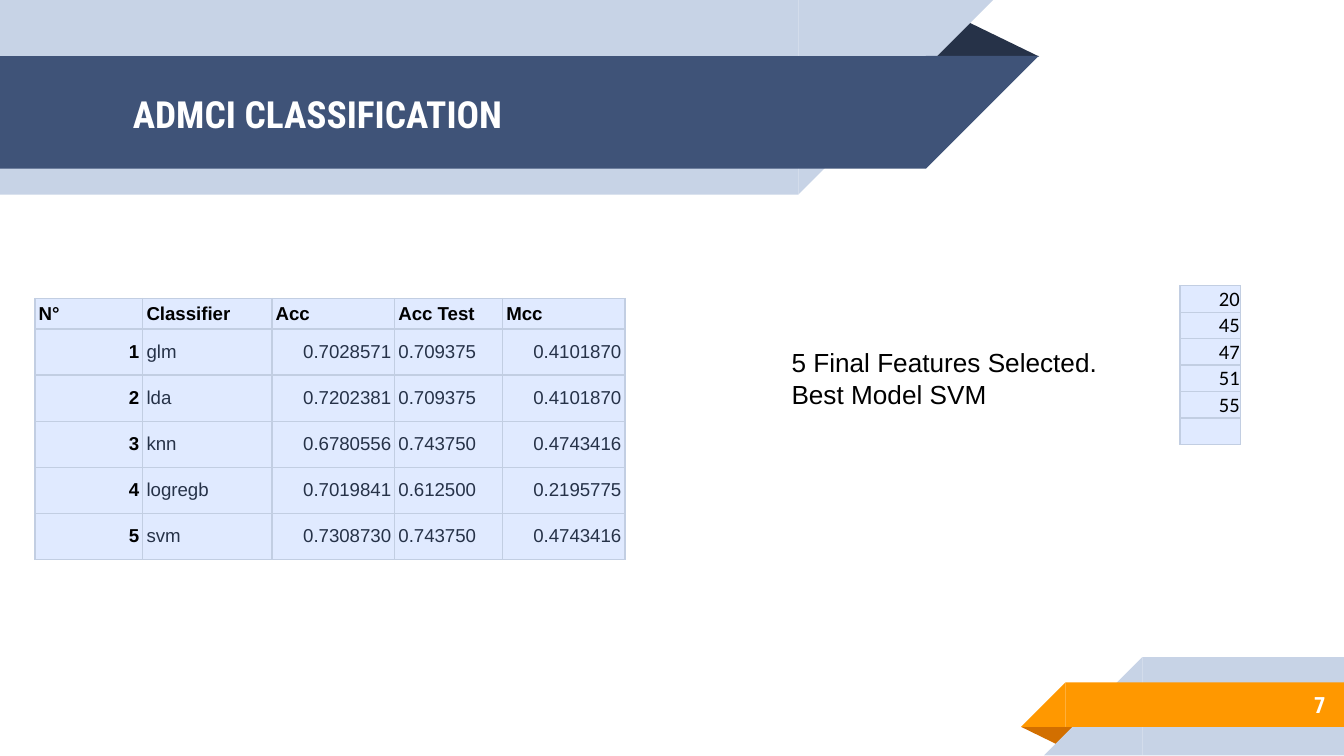
from lxml import etree
from pptx import Presentation
from pptx.dml.color import RGBColor
from pptx.enum.shapes import MSO_SHAPE
from pptx.enum.text import MSO_ANCHOR, MSO_AUTO_SIZE, PP_ALIGN
from pptx.oxml.ns import qn
from pptx.util import Cm, Pt

RECTANGLE = MSO_SHAPE.RECTANGLE
RIGHT_TRIANGLE = MSO_SHAPE.RIGHT_TRIANGLE
TRIANGLE = MSO_SHAPE.ISOSCELES_TRIANGLE
MIDDLE, BOTTOM = MSO_ANCHOR.MIDDLE, MSO_ANCHOR.BOTTOM
LEFT, RIGHT = PP_ALIGN.LEFT, PP_ALIGN.RIGHT
NO_AUTO_SIZE = MSO_AUTO_SIZE.NONE

NAVY, DARK, PALE = "3F5378", "263248", "C7D3E6"
ORANGE, RUST = "FF9800", "D26F00"
WHITE, BLACK = "FFFFFF", "000000"
CELL_FILL, CELL_BORDER = "E0EAFF", "C2CEE2"
HEADING_FONT, BODY_FONT, NUMBER_FONT = "Roboto Condensed", "Arial", "Calibri"

RESULTS = [
    ["N°", "Classifier", "Acc", "Acc Test", "Mcc"],
    ["1", "glm", "0.7028571", "0.709375", "0.4101870"],
    ["2", "lda", "0.7202381", "0.709375", "0.4101870"],
    ["3", "knn", "0.6780556", "0.743750", "0.4743416"],
    ["4", "logregb", "0.7019841", "0.612500", "0.2195775"],
    ["5", "svm", "0.7308730", "0.743750", "0.4743416"],
]
RIGHT_ALIGNED_COLUMNS = (0, 2, 4)
FEATURES = [["20"], ["45"], ["47"], ["51"], ["55"], [""]]


def color(hex_string):
    return RGBColor.from_string(hex_string)


def write_text(frame, text, size=14, font=BODY_FONT, fill=BLACK, bold=False,
               align=LEFT, anchor=None):
    """Write one paragraph for each line of the text."""
    frame.word_wrap = True
    if anchor is not None:
        frame.vertical_anchor = anchor
    for index, line in enumerate(text.split("\n")):
        paragraph = frame.add_paragraph() if index else frame.paragraphs[0]
        paragraph.alignment = align
        if not line:
            end = etree.SubElement(paragraph._p, qn("a:endParaRPr"))
            end.set("sz", str(size * 100))
            etree.SubElement(end, qn("a:latin")).set("typeface", font)
            continue
        run = paragraph.add_run()
        run.text = line
        run.font.size = Pt(size)
        run.font.name = font
        run.font.bold = bold
        run.font.color.rgb = color(fill)


def set_margins(target, left, top, right, bottom):
    target.margin_left, target.margin_top = Cm(left), Cm(top)
    target.margin_right, target.margin_bottom = Cm(right), Cm(bottom)


def add_borders(cell):
    properties = cell._tc.get_or_add_tcPr()
    for index, side in enumerate(("lnL", "lnR", "lnT", "lnB")):
        line = etree.Element(qn(f"a:{side}"), w=str(Pt(0.75)))
        fill = etree.SubElement(line, qn("a:solidFill"))
        etree.SubElement(fill, qn("a:srgbClr")).set("val", CELL_BORDER)
        properties.insert(index, line)


class SlideBuilder:
    def __init__(self, presentation):
        self.slide = presentation.slides.add_slide(presentation.slide_layouts[5])
        self.shapes = self.slide.shapes

    def shape(self, kind, left, top, width, height, fill, flip=None):
        shape = self.shapes.add_shape(kind, Cm(left), Cm(top), Cm(width), Cm(height))
        shape.shadow.inherit = False
        shape.fill.solid()
        shape.fill.fore_color.rgb = color(fill)
        shape.line.fill.background()
        if flip:
            shape._element.spPr.get_or_add_xfrm().set(flip, "1")
        return shape

    def fold(self, left, top, width, height, fill, rotation=0):
        triangle = self.shape(TRIANGLE, left, top, width, height, fill)
        triangle.adjustments[0] = 0.324
        triangle.rotation = rotation

    def ribbon(self, left, top, width, height, fill, points_left=False):
        """Draw a band with a 45-degree tip on one end."""
        self.shape(RECTANGLE, left, top, width, height, fill)
        tip = left - height if points_left else left + width
        flip = "flipH" if points_left else "flipV"
        self.shape(RIGHT_TRIANGLE, tip, top, height, height, fill, flip)

    def title(self, text, left, top, width, height):
        title = self.shapes.title
        title.left, title.top = Cm(left), Cm(top)
        title.width, title.height = Cm(width), Cm(height)
        frame = title.text_frame
        frame.auto_size = NO_AUTO_SIZE
        set_margins(frame, 0.25, 0.25, 0.25, 0.25)
        write_text(frame, text, size=20, font=HEADING_FONT, fill=WHITE,
                   bold=True, anchor=MIDDLE)
        self.shapes._spTree.append(title._element)  # in front of the ribbons

    def text(self, text, left, top, width, height, **text_format):
        box = self.shapes.add_textbox(Cm(left), Cm(top), Cm(width), Cm(height))
        write_text(box.text_frame, text, **text_format)

    def table(self, rows, left, top, widths, heights, cell_format):
        """cell_format(row, column) returns the margins and the text format."""
        table = self.shapes.add_table(
            len(rows), len(widths), Cm(left), Cm(top),
            Cm(sum(widths)), Cm(sum(heights))).table
        table.first_row = table.horz_banding = False
        for column, width in zip(table.columns, widths):
            column.width = Cm(width)
        for row, height in zip(table.rows, heights):
            row.height = Cm(height)
        for row, values in enumerate(rows):
            for column, value in enumerate(values):
                cell = table.cell(row, column)
                margins, anchor, text_format = cell_format(row, column)
                set_margins(cell, *margins)
                cell.vertical_anchor = anchor
                cell.fill.solid()
                cell.fill.fore_color.rgb = color(CELL_FILL)
                add_borders(cell)
                write_text(cell.text_frame, value, **text_format)


def result_format(row, column):
    vertical = 0.05 if row else 0.07
    strong = row == 0 or column == 0
    align = RIGHT if row and column in RIGHT_ALIGNED_COLUMNS else LEFT
    text_format = dict(size=10, bold=strong, fill=BLACK if strong else DARK,
                       align=align)
    return (0.07, vertical, 0.07, vertical), MIDDLE, text_format


def feature_format(row, column):
    text_format = dict(size=11, font=NUMBER_FONT, align=RIGHT)
    return (0.02, 0.02, 0.02, 0), BOTTOM, text_format


def main():
    presentation = Presentation()
    presentation.slide_width, presentation.slide_height = Cm(25.4), Cm(14.29)
    builder = SlideBuilder(presentation)

    builder.fold(19.3, 13.74, 1.09, 0.36, RUST, rotation=180)
    builder.ribbon(21.59, 12.42, 3.81, 1.86, PALE, points_left=True)
    builder.ribbon(20.14, 12.9, 5.26, 0.84, ORANGE, points_left=True)

    builder.fold(17.48, 0.36, 2.16, 0.71, DARK)
    builder.ribbon(0, 0, 15.09, 3.68, PALE)
    builder.ribbon(0, 1.06, 17.5, 2.13, NAVY)

    builder.title("ADMCI CLASSIFICATION", 2.26, 1.09, 15.27, 2.13)
    builder.text("7", 21.16, 12.88, 4.14, 0.89, size=12, font=HEADING_FONT,
                 fill=WHITE, bold=True, align=RIGHT, anchor=MIDDLE)
    builder.table(RESULTS, 0.66, 5.64, [2.04, 2.44, 2.32, 2.04, 2.31],
                  [0.58] + [0.87] * 5, result_format)
    builder.table(FEATURES, 22.3, 5.4, [1.15], [0.5] * 6, feature_format)
    builder.text("5 Final Features Selected.\nBest Model SVM",
                 14.71, 6.43, 7.59, 1.45)

    presentation.save("out.pptx")


if __name__ == "__main__":
    main()
